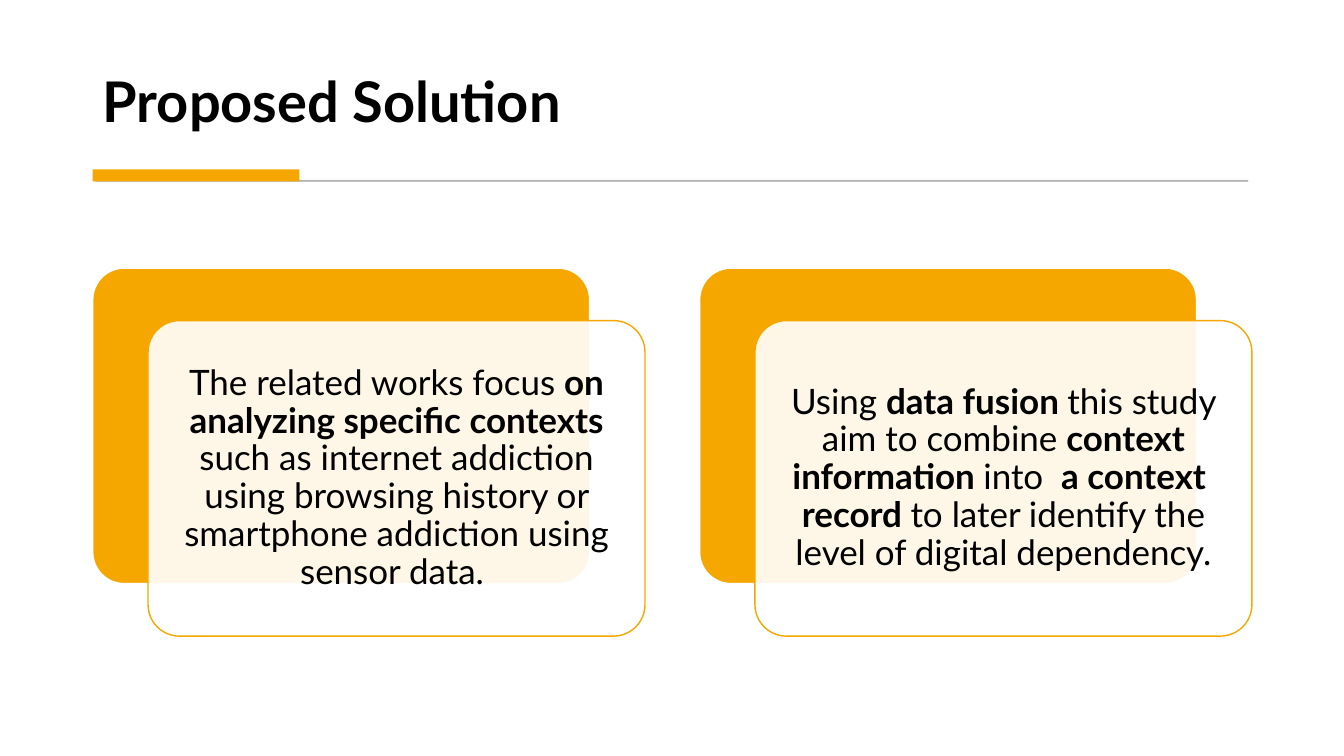
import pptx
import pptx.util
import pptx.dml.color
import pptx.enum.shapes
import pptx.enum.text
import pptx.oxml
import pptx.oxml.ns

Pt = pptx.util.Pt
SHAPE = pptx.enum.shapes.MSO_SHAPE
ALIGN = pptx.enum.text.PP_ALIGN
ANCHOR = pptx.enum.text.MSO_ANCHOR

ORANGE, WHITE, GREY, BLACK = "F5A700", "FFFFFF", "595959", "000000"
FONT = "Lato"

LEFT = 66.25
CARD_TOP, CARD_W, CARD_H = 191.5, 355, 225.4
CARD_PITCH = 433.5
FRONT_DX, FRONT_DY = 39.5, 37.5

# Each card is a list of (text, bold) runs.
CARDS = [
    [("The related works focus ", False),
     ("on analyzing specific contexts ", True),
     ("such as internet addiction using browsing history or "
      "smartphone addiction using sensor data. ", False)],
    [("Using ", False),
     ("data fusion ", True),
     ("this study aim to combine ", False),
     ("context information ", True),
     ("into  ", False),
     ("a context  record ", True),
     ("to later identify the level of digital dependency.", False)],
]


def paint(fill, color, alpha=100):
    """Make a fill solid, with its opacity in percent."""
    fill.solid()
    fill.fore_color.rgb = pptx.dml.color.RGBColor.from_string(color)
    if alpha < 100:
        clr = fill._xPr.find(".//" + pptx.oxml.ns.qn("a:srgbClr"))
        clr.append(pptx.oxml.parse_xml(
            f'<a:alpha {pptx.oxml.ns.nsdecls("a")} val="{alpha * 1000}"/>'))


def add_box(slide, kind, box, fill, line=None, width=1, fill_alpha=100, line_alpha=100):
    sp = slide.shapes.add_shape(kind, *map(Pt, box))
    sp.shadow.inherit = False
    paint(sp.fill, fill, fill_alpha)
    if line:
        paint(sp.line.fill, line, line_alpha)
        sp.line.width = Pt(width)
    else:
        sp.line.fill.background()
    return sp


def write_runs(sp, runs, size, align, anchor):
    tf = sp.text_frame
    tf.word_wrap = True
    tf.vertical_anchor = anchor
    p = tf.paragraphs[0]
    p.alignment = align
    p.line_spacing = 0.9
    p.font.name = FONT
    p.font.size = Pt(size)
    paint(p.font.fill, BLACK)
    for text, bold in runs:
        r = p.add_run()
        r.text = text
        r.font.bold = bold
    return tf


def add_title(slide, text):
    sp = slide.shapes.add_textbox(Pt(LEFT), Pt(20), Pt(827), Pt(80))
    write_runs(sp, [(text, True)], 40, ALIGN.LEFT, ANCHOR.BOTTOM)


def add_title_rule(slide):
    add_box(slide, SHAPE.RECTANGLE, (68.4, 128.9, 823, 0.7), GREY, GREY, 0.75, 30, 30)
    add_box(slide, SHAPE.RECTANGLE, (LEFT, 121, 147.6, 8.6), ORANGE)


def add_card(slide, left, runs):
    """Add an orange panel with a translucent text panel offset over it."""
    back = add_box(slide, SHAPE.ROUNDED_RECTANGLE,
                   (left, CARD_TOP, CARD_W, CARD_H), ORANGE, WHITE)
    front = add_box(slide, SHAPE.ROUNDED_RECTANGLE,
                    (left + FRONT_DX, CARD_TOP + FRONT_DY, CARD_W, CARD_H),
                    WHITE, ORANGE, fill_alpha=90)
    for sp in (back, front):
        sp.adjustments[0] = 0.1
    tf = write_runs(front, runs, 25, ALIGN.CENTER, ANCHOR.MIDDLE)
    tf.margin_left = tf.margin_right = tf.margin_top = tf.margin_bottom = Pt(7.2)


def main():
    prs = pptx.Presentation()
    prs.slide_width, prs.slide_height = Pt(960), Pt(540)
    slide = prs.slides.add_slide(prs.slide_layouts[6])
    paint(slide.background.fill, WHITE)
    add_title(slide, "Proposed Solution")
    add_title_rule(slide)
    for i, runs in enumerate(CARDS):
        add_card(slide, LEFT + i * CARD_PITCH, runs)
    prs.save("out.pptx")


if __name__ == "__main__":
    main()
